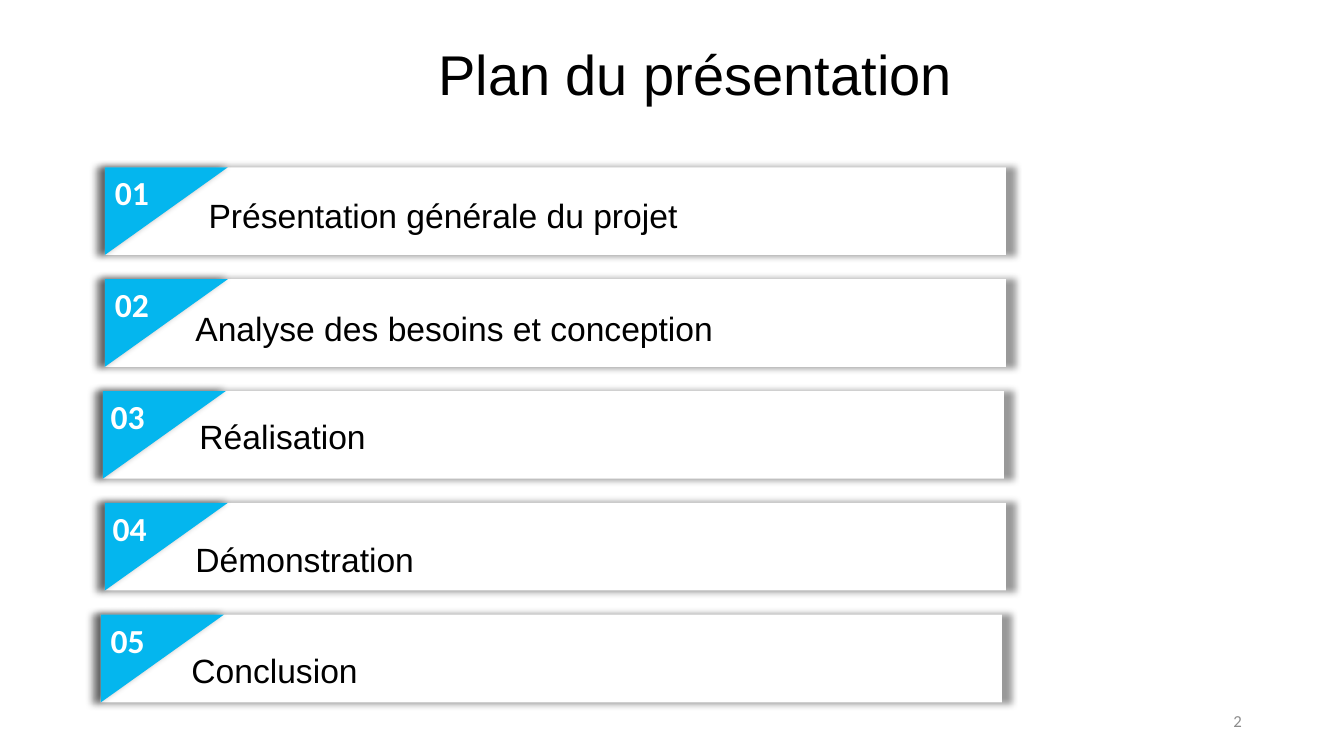
from dataclasses import dataclass

from lxml import etree
from pptx import Presentation
from pptx import util as u
from pptx.dml import color
from pptx.enum import shapes, text
from pptx.oxml import ns


@dataclass(frozen=True)
class Theme:
    """Colours, fonts and type sizes of the slide."""
    accent: str = "04B6EE"
    card: str = "FFFFFF"
    ink: str = "000000"
    muted: str = "8C8C8C"
    heading_font: str = "Arial"
    number_font: str = "Calibri"
    title_size: int = 40
    body_size: int = 24
    small_size: int = 12


theme = Theme()
deck = Presentation()
deck.slide_width, deck.slide_height = u.Inches(13.33), u.Inches(7.5)
page = deck.slides.add_slide(deck.slide_layouts[6])

CELL = deck.slide_width / 40  # square grid: 40 columns, 22.5 rows
FIRST_ROW, ROW_PITCH = 4.98, 3.33
CARD_WIDTH, CARD_HEIGHT = 26.82, 2.61
CORNER_WIDTH = 3.66
CORNER_SHIFT = (CORNER_WIDTH - CARD_HEIGHT) / 2  # offset caused by the quarter turn


def add_text(words, area, font, size, tint, bold=False, **frame_format):
    """Add a one-line text box; area is left, top, width, height in cells."""
    box = page.shapes.add_textbox(*(round(cells * CELL) for cells in area))
    for name, value in ({"word_wrap": True} | frame_format).items():
        setattr(box.text_frame, name, value)
    para = box.text_frame.paragraphs[0]
    span = para.add_run()
    span.text = words
    for name, value in {"name": font, "size": u.Pt(size), "bold": bold}.items():
        setattr(span.font, name, value)
    span.font.color.rgb = color.RGBColor.from_string(tint)
    return para


def add_shadowed(group, kind, area, tint, turn=0):
    """Add a borderless shape with a soft halo; area is in cells."""
    shape = group.shapes.add_shape(kind, *(round(cells * CELL) for cells in area))
    shape.rotation = turn
    shape.fill.solid()
    shape.fill.fore_color.rgb = color.RGBColor.from_string(tint)
    shape.line.fill.background()
    shape.shadow.inherit = False
    effects = shape.element.spPr.find(ns.qn("a:effectLst"))
    halo = etree.SubElement(effects, ns.qn("a:outerShdw"), blurRad=str(u.Pt(5)),
                            sx="102000", sy="102000", algn="ctr", rotWithShape="0")
    shade = etree.SubElement(halo, ns.qn("a:srgbClr"), val=theme.ink)
    etree.SubElement(shade, ns.qn("a:alpha"), val="40000")


page_number = add_text("2", (28.26, 20.85, 9, 1.2), theme.number_font,
                       theme.small_size, theme.muted,
                       vertical_anchor=text.MSO_ANCHOR.MIDDLE)
page_number.alignment = text.PP_ALIGN.RIGHT
add_text("Plan du présentation", (12.75, 1.02, 16.05, 2.31), theme.heading_font,
         theme.title_size, theme.ink, word_wrap=False,
         auto_size=text.MSO_AUTO_SIZE.SHAPE_TO_FIT_TEXT)

# topic, card left, number left, topic left, topic top (in cells)
agenda = [
    ("Présentation générale du projet", 3.12, 3.12, 5.91, 5.67),
    ("Analyse des besoins et conception", 3.12, 3.12, 5.52, 9.03),
    ("Réalisation", 3.06, 3, 5.64, 12.24),
    ("Démonstration", 3.12, 3.06, 5.52, 15.9),
    ("Conclusion", 3, 3, 5.4, 19.2),
]
for row, (topic, card_left, number_left, topic_left, topic_top) in enumerate(agenda):
    top = FIRST_ROW + row * ROW_PITCH
    group = page.shapes.add_group_shape()
    add_shadowed(group, shapes.MSO_SHAPE.RECTANGLE,
                 (card_left, top, CARD_WIDTH, CARD_HEIGHT), theme.card)
    add_shadowed(group, shapes.MSO_SHAPE.RIGHT_TRIANGLE,
                 (card_left + CORNER_SHIFT, top - CORNER_SHIFT,
                  CARD_HEIGHT, CORNER_WIDTH), theme.accent, turn=90)
    add_text(f"{row + 1:02d}", (number_left, top, 2.73, 1.5), theme.number_font,
             theme.body_size, theme.card, bold=True)
    add_text(topic, (topic_left, topic_top, 22.41, 1.5), theme.heading_font,
             theme.body_size, theme.ink)

deck.save("out.pptx")
